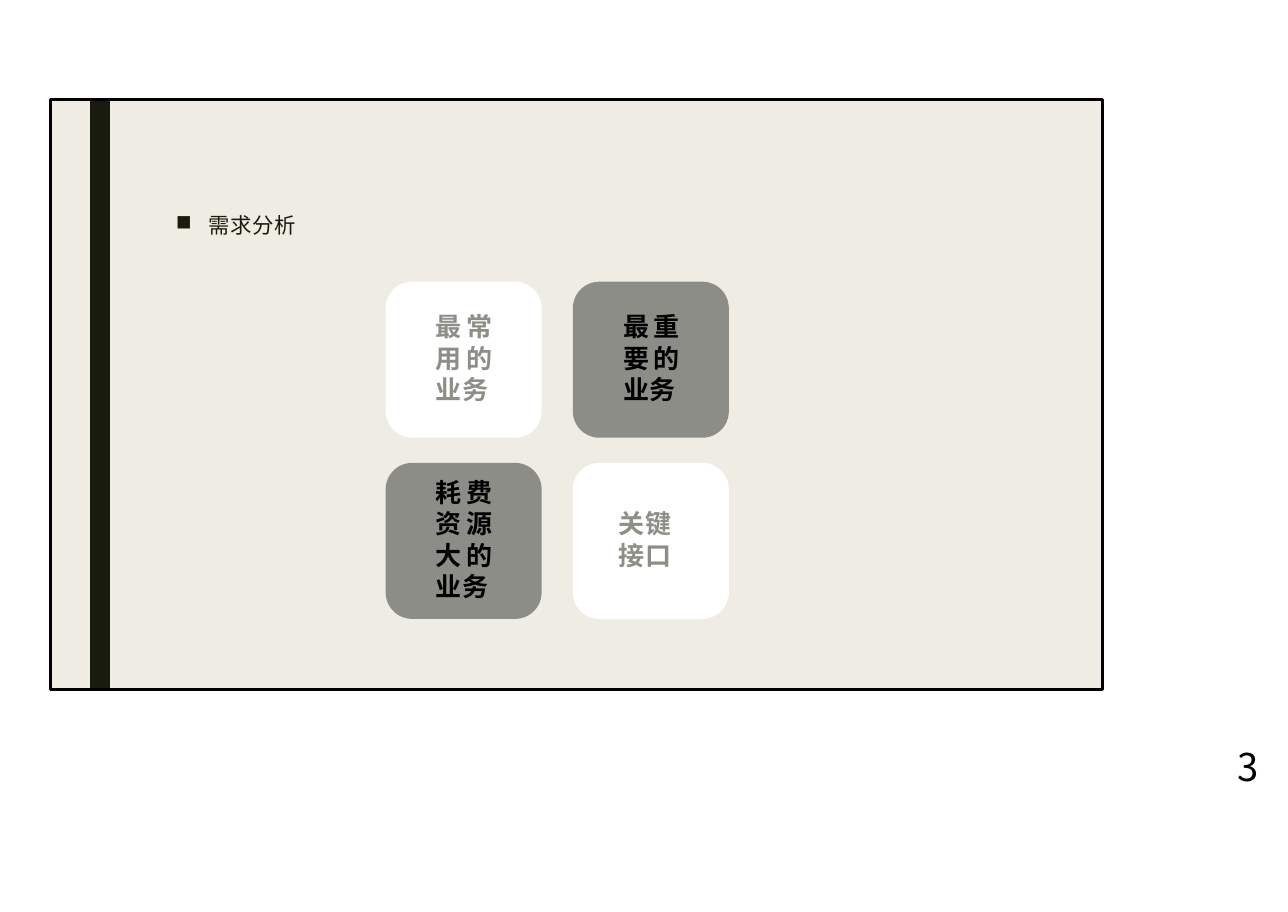
import dataclasses

import pptx
import pptx.dml.color
import pptx.enum.shapes
import pptx.enum.text
import pptx.oxml
import pptx.oxml.ns
import pptx.util

Cm = pptx.util.Cm
Pt = pptx.util.Pt
SHAPE = pptx.enum.shapes.MSO_SHAPE
ALIGN = pptx.enum.text.PP_ALIGN
ANCHOR = pptx.enum.text.MSO_ANCHOR
qn = pptx.oxml.ns.qn


@dataclasses.dataclass(frozen=True)
class Theme:
    font: str = "Noto Sans CJK SC"
    panel: str = "EFEDE3"
    ink: str = "191B0E"
    black: str = "000000"
    white: str = "FFFFFF"
    grey: str = "8C8D86"
    grey_text: str = "8D8E86"
    topic_size: float = 7
    card_size: float = 8.5
    card_leading: float = 10.3
    page_size: float = 12.5
    frame_width: float = 1.02


THEME = Theme()


def rgb(value):
    return pptx.dml.color.RGBColor.from_string(value)


def add_block(slide, kind, box, fill=None, line=None):
    """Add a preset shape; box is left, top, width, height in cm."""
    sp = slide.shapes.add_shape(kind, *map(Cm, box))
    sp.shadow.inherit = False
    if fill:
        sp.fill.solid()
        sp.fill.fore_color.rgb = rgb(fill)
    else:
        sp.fill.background()
    if line:
        sp.line.color.rgb = rgb(line)
        sp.line.width = Pt(THEME.frame_width)
    else:
        sp.line.fill.background()
    return sp


def set_margins(tf, left=0, top=0, right=0, bottom=0):
    tf.margin_left, tf.margin_top = Cm(left), Cm(top)
    tf.margin_right, tf.margin_bottom = Cm(right), Cm(bottom)


def add_run(p, text, size, color, spacing, bold=False):
    """Add a run; spacing is the gap between letters in points."""
    r = p.add_run()
    r.text = text
    r.font.size = Pt(size)
    r.font.bold = bold
    r.font.color.rgb = rgb(color)
    r.font.name = THEME.font
    rPr = r._r.get_or_add_rPr()
    rPr.set("spc", str(round(spacing * 100)))
    rPr.append(rPr.makeelement(qn("a:ea"), {"typeface": THEME.font}))


def add_label(slide, box, text, size, color, spacing):
    """Add a one-line text box without margins and return its paragraph."""
    tf = slide.shapes.add_textbox(*map(Cm, box)).text_frame
    set_margins(tf)
    tf.word_wrap = False
    p = tf.paragraphs[0]
    add_run(p, text, size, color, spacing)
    return p


def add_panel(slide, box):
    left, top, width, height = box
    add_block(slide, SHAPE.RECTANGLE, box, THEME.panel)
    add_block(slide, SHAPE.RECTANGLE, (left + 0.46, top, 0.23, height), THEME.ink)
    add_block(slide, SHAPE.RECTANGLE, box, line=THEME.black)


def add_topic(slide, box):
    p = add_label(slide, box, "需求分析", THEME.topic_size, THEME.ink, 0.2)
    pPr = p._p.get_or_add_pPr()
    pPr.set("marL", str(Cm(0.43)))
    pPr.set("indent", str(Cm(-0.38)))
    pPr.append(pPr.makeelement(qn("a:buChar"), {"char": "■"}))


def add_card(slide, box, text, fill, color, align, shift):
    """Add a rounded card whose text sits shift cm right of the centre."""
    sp = add_block(slide, SHAPE.ROUNDED_RECTANGLE, box, fill)
    sp.adjustments[0] = 0.17
    tf = sp.text_frame
    set_margins(tf, left=0.49 + shift, right=0.47 - shift, bottom=0.04)
    tf.word_wrap = True
    tf.vertical_anchor = ANCHOR.MIDDLE
    p = tf.paragraphs[0]
    p.alignment = align
    p.line_spacing = Pt(THEME.card_leading)
    add_run(p, text, THEME.card_size, color, 0.1, bold=True)


def add_cards(slide, box):
    """Lay the four cards out in a two by two grid that fills the box."""
    left, top, width, height = box
    side = 1.8
    light = (THEME.white, THEME.grey_text)
    dark = (THEME.grey, THEME.black)
    cards = [
        ("最常 用的 业务", light, ALIGN.JUSTIFY, 0),
        ("最重 要的 业务", dark, ALIGN.JUSTIFY, 0),
        ("耗费 资源 大的 业务", dark, ALIGN.JUSTIFY, 0),
        ("关键 接口", light, ALIGN.LEFT, -0.05),
    ]
    for i, (text, (fill, color), align, shift) in enumerate(cards):
        row, col = divmod(i, 2)
        x = left + col * (width - side)
        y = top + row * (height - side)
        add_card(slide, (x, y, side, side), text, fill, color, align, shift)


def main():
    prs = pptx.Presentation()
    prs.slide_width, prs.slide_height = Cm(14.86), Cm(10.52)
    slide = prs.slides.add_slide(prs.slide_layouts[6])
    add_panel(slide, (0.58, 1.15, 12.14, 6.81))
    add_topic(slide, (1.98, 2.45, 1.5, 0.4))
    add_cards(slide, (4.45, 3.25, 3.96, 3.89))
    add_label(slide, (14.28, 8.57, 0.3, 0.6), "3", THEME.page_size, THEME.black, 0.4)
    prs.save("out.pptx")


if __name__ == "__main__":
    main()
